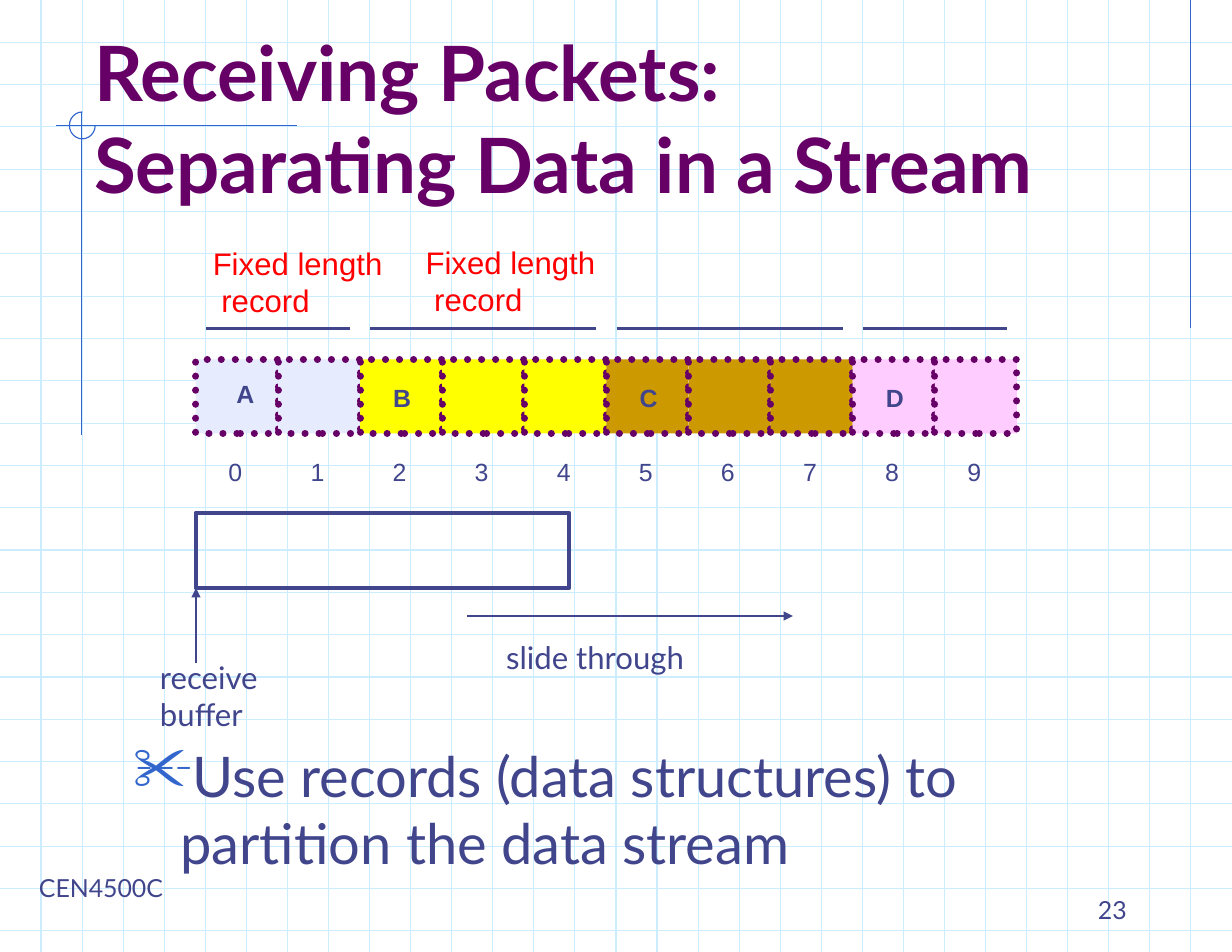
from lxml import etree
from pptx import Presentation
from pptx.dml.color import RGBColor
from pptx.enum.dml import MSO_LINE
from pptx.enum.shapes import MSO_CONNECTOR, MSO_SHAPE
from pptx.enum.text import MSO_ANCHOR, PP_ALIGN
from pptx.oxml.ns import qn
from pptx.util import Inches, Pt

STRAIGHT = MSO_CONNECTOR.STRAIGHT
RECTANGLE = MSO_SHAPE.RECTANGLE
ARC = MSO_SHAPE.ARC
DOTTED = MSO_LINE.ROUND_DOT
TOP, BOTTOM = MSO_ANCHOR.TOP, MSO_ANCHOR.BOTTOM
LEFT, RIGHT = PP_ALIGN.LEFT, PP_ALIGN.RIGHT

COLORS = {
    "grid": "CCECFF",
    "accent": "3366CC",
    "ink": "40458C",
    "title": "660066",
    "note": "FF0000",
    "A": "E6ECFE",
    "B": "FFFF00",
    "C": "CC9900",
    "D": "FFCCFF",
}

prs = Presentation()
prs.slide_width = Inches(11)
prs.slide_height = Inches(8.5)
slide = prs.slides.add_slide(prs.slide_layouts[6])


def add_line(x1, y1, x2, y2, color, width, arrow=False):
    line = slide.shapes.add_connector(STRAIGHT, Inches(x1), Inches(y1), Inches(x2), Inches(y2))
    line.line.color.rgb = RGBColor.from_string(COLORS[color])
    line.line.width = Pt(width)
    if arrow:
        etree.SubElement(line.line._get_or_add_ln(), qn("a:tailEnd"), type="triangle")
    etree.SubElement(line._element.spPr, qn("a:effectLst"))


def add_text(box, lines, size, font="Lato", color="ink", bold=False, wrap=True,
             anchor=TOP, align=LEFT, inset=(0.11, 0.05), bullet=None):
    frame = slide.shapes.add_textbox(*[Inches(v) for v in box]).text_frame
    frame.word_wrap = wrap
    frame.vertical_anchor = anchor
    frame.margin_left = frame.margin_right = Inches(inset[0])
    frame.margin_top = frame.margin_bottom = Inches(inset[1])
    paragraph = frame.paragraphs[0]
    paragraph.alignment = align
    if bullet:
        props = paragraph._p.get_or_add_pPr()
        props.set("marL", str(Inches(0.42)))
        props.set("indent", str(-Inches(0.42)))
        bullet_color = etree.SubElement(props, qn("a:buClr"))
        etree.SubElement(bullet_color, qn("a:srgbClr"), val=COLORS["accent"])
        etree.SubElement(props, qn("a:buSzPct"), val="110000")
        etree.SubElement(props, qn("a:buChar"), char=bullet)
    for i, line in enumerate(lines):
        if i:
            paragraph.add_line_break()
        run = paragraph.add_run()
        run.text = line
        run.font.size = Pt(size)
        run.font.name = font
        run.font.bold = bold
        run.font.color.rgb = RGBColor.from_string(COLORS[color])


row_step = 8.5 / 22.5
for row in range(1, 23):
    add_line(0, row * row_step, 11, row * row_step, "grid", 0.75)
column_step = 11 / 30
for column in range(1, 30):
    add_line(column * column_step, 0, column * column_step, 8.5, "grid", 0.75)

add_line(10.63, 0, 10.63, 2.93, "accent", 0.75)
add_line(2.65, 1.12, 0.5, 1.12, "accent", 0.75)
add_line(0.73, 1, 0.73, 3.88, "accent", 0.75)
corner_arc = slide.shapes.add_shape(ARC, Inches(0.62), Inches(1), Inches(0.23), Inches(0.24))
corner_arc.adjustments[0] = 0
corner_arc.adjustments[1] = 162
corner_arc.shadow.inherit = False
corner_arc.fill.background()
corner_arc.line.color.rgb = RGBColor.from_string(COLORS["accent"])
corner_arc.line.width = Pt(0.75)

add_text((0.25, 7.74, 2.87, 0.57), ["CEN4500C"], 16, inset=(0.1, 0.05))
add_text((7.88, 7.74, 2.29, 0.57), ["23"], 16, anchor=BOTTOM, align=RIGHT, inset=(0.11, 0.06))
add_text((0.73, 0.38, 10.27, 1.54), ["Receiving Packets:", "Separating Data in a Stream"], 49,
         color="title", bold=True, anchor=BOTTOM, inset=(0.11, 0.06))
add_text((1.08, 6.56, 9, 1.77), ["Use records (data structures) to partition the data stream"], 36,
         inset=(0.11, 0.06), bullet="✂")

stream_left, cell_width = 1.75, 0.733
for index, record in enumerate("AABBBCCCDD"):
    cell_left = stream_left + index * cell_width
    cell = slide.shapes.add_shape(RECTANGLE, Inches(cell_left), Inches(3.21),
                                  Inches(cell_width), Inches(0.66))
    cell.shadow.inherit = False
    cell.fill.solid()
    cell.fill.fore_color.rgb = RGBColor.from_string(COLORS[record])
    cell.line.color.rgb = RGBColor.from_string(COLORS["title"])
    cell.line.width = Pt(4.5)
    cell.line.dash_style = DOTTED
    cell.line._get_or_add_ln().set("cap", "rnd")
    add_text((cell_left + 0.18, 4.03, 0.34, 0.38), [str(index)], 16, font="Arial", wrap=False)

records = [("A", 0, 2, 2, 3.33), ("B", 2, 5, 3.4, 3.37), ("C", 5, 8, 5.6, 3.37), ("D", 8, 10, 7.8, 3.37)]
for record, first, end, label_left, label_top in records:
    add_line(stream_left + first * cell_width + 0.09, 2.93,
             stream_left + end * cell_width - 0.09, 2.93, "ink", 2)
    add_text((label_left, label_top, 0.38, 0.38), [record], 16, font="Arial", bold=True, wrap=False)

for note_left, note_top in [(1.79, 2.13), (3.69, 2.12)]:
    add_text((note_left, note_top, 1.74, 0.78), ["Fixed length", " record"], 20,
             font="Arial", color="note", wrap=False)

receive_buffer = slide.shapes.add_shape(RECTANGLE, Inches(1.75), Inches(4.58), Inches(3.33), Inches(0.67))
receive_buffer.shadow.inherit = False
receive_buffer.fill.background()
receive_buffer.line.color.rgb = RGBColor.from_string(COLORS["ink"])
receive_buffer.line.width = Pt(3)

add_text((1.33, 5.83, 1.33, 0.77), ["receive buffer"], 20, inset=(0.1, 0.05))
add_line(1.75, 5.92, 1.75, 5.25, "ink", 1.5, arrow=True)
add_line(4.17, 5.5, 7.08, 5.5, "ink", 1.5, arrow=True)
add_text((4.42, 5.65, 2.25, 0.44), ["slide through"], 20, inset=(0.1, 0.05))

prs.save("out.pptx")
